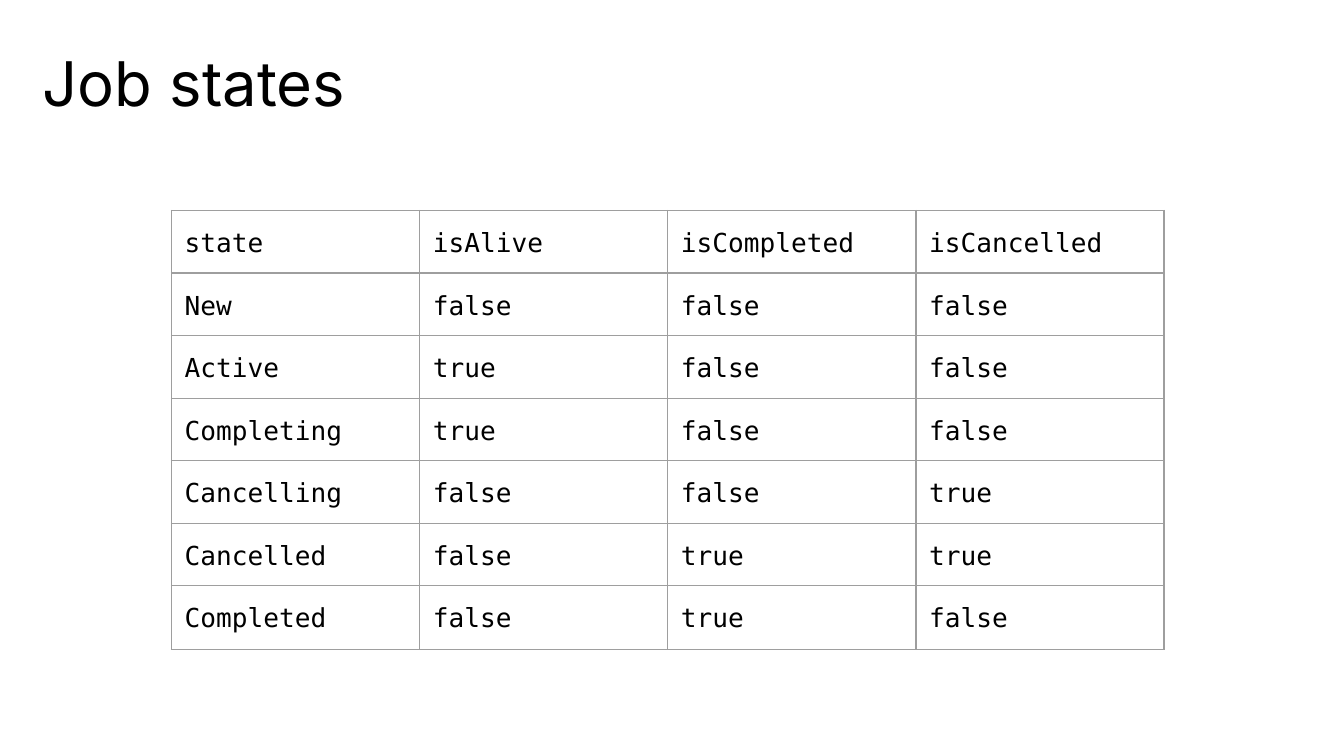
from lxml import etree
from pptx import Presentation
from pptx.dml.color import RGBColor
from pptx.enum.text import MSO_ANCHOR, PP_ALIGN
from pptx.oxml.ns import qn
from pptx.util import Cm, Pt

TOP = MSO_ANCHOR.TOP
LEFT = PP_ALIGN.LEFT

# Content
TITLE = "Job states"
STATES = [
    ("state", "isAlive", "isCompleted", "isCancelled"),
    ("New", "false", "false", "false"),
    ("Active", "true", "false", "false"),
    ("Completing", "true", "false", "false"),
    ("Cancelling", "false", "false", "true"),
    ("Cancelled", "false", "true", "true"),
    ("Completed", "false", "true", "false"),
]

# Style
TEXT, GRID, PAPER = "000000", "9E9E9E", "FFFFFF"
TITLE_FONT, CODE_FONT = "Inter", "DejaVu Sans Mono"
INSET = Cm(0.25)
COLUMN_WIDTH = Cm(4.69)
ROW_HEIGHT, LAST_ROW_HEIGHT = Cm(1.17), Cm(1.21)


def color(value):
    return RGBColor.from_string(value)


def write(frame, text, font, size, spacing):
    para = frame.paragraphs[0]
    para.alignment = LEFT
    para.line_spacing = spacing
    span = para.add_run()
    span.text = text
    span.font.name = font
    span.font.size = Pt(size)
    span.font.bold = False
    span.font.color.rgb = color(TEXT)


def add_borders(cell):
    """Draw all four borders; they must come before the fill."""
    properties = cell._tc.get_or_add_tcPr()
    for index, side in enumerate(("lnL", "lnR", "lnT", "lnB")):
        line = etree.Element(qn(f"a:{side}"), w=str(Pt(0.75)))
        fill = etree.SubElement(line, qn("a:solidFill"))
        etree.SubElement(fill, qn("a:srgbClr"), val=GRID)
        properties.insert(index, line)


def add_title(page):
    box = page.shapes.add_textbox(Cm(0.81), Cm(0.81), Cm(23.62), Cm(1.27))
    frame = box.text_frame
    frame.word_wrap = True
    frame.vertical_anchor = TOP
    frame.margin_left = frame.margin_right = 0
    frame.margin_top = frame.margin_bottom = INSET
    write(frame, TITLE, TITLE_FONT, 33, 0.85)


def add_state_table(page):
    rows, columns = len(STATES), len(STATES[0])
    height = ROW_HEIGHT * (rows - 1) + LAST_ROW_HEIGHT
    table = page.shapes.add_table(
        rows, columns, Cm(3.24), Cm(3.98), COLUMN_WIDTH * columns, height
    ).table
    table.first_row = table.horz_banding = False
    for column in table.columns:
        column.width = COLUMN_WIDTH
    for row in table.rows:
        row.height = ROW_HEIGHT
    table.rows[rows - 1].height = LAST_ROW_HEIGHT

    for row, values in enumerate(STATES):
        for column, value in enumerate(values):
            cell = table.cell(row, column)
            cell.margin_left = cell.margin_right = INSET
            cell.margin_top = cell.margin_bottom = INSET
            cell.vertical_anchor = TOP
            cell.fill.background()
            add_borders(cell)
            write(cell.text_frame, value, CODE_FONT, 14, 1.15)


def main():
    deck = Presentation()
    deck.slide_width, deck.slide_height = Cm(25.4), Cm(14.29)
    page = deck.slides.add_slide(deck.slide_layouts[6])
    page.background.fill.solid()
    page.background.fill.fore_color.rgb = color(PAPER)
    add_title(page)
    add_state_table(page)
    deck.save("out.pptx")


if __name__ == "__main__":
    main()
